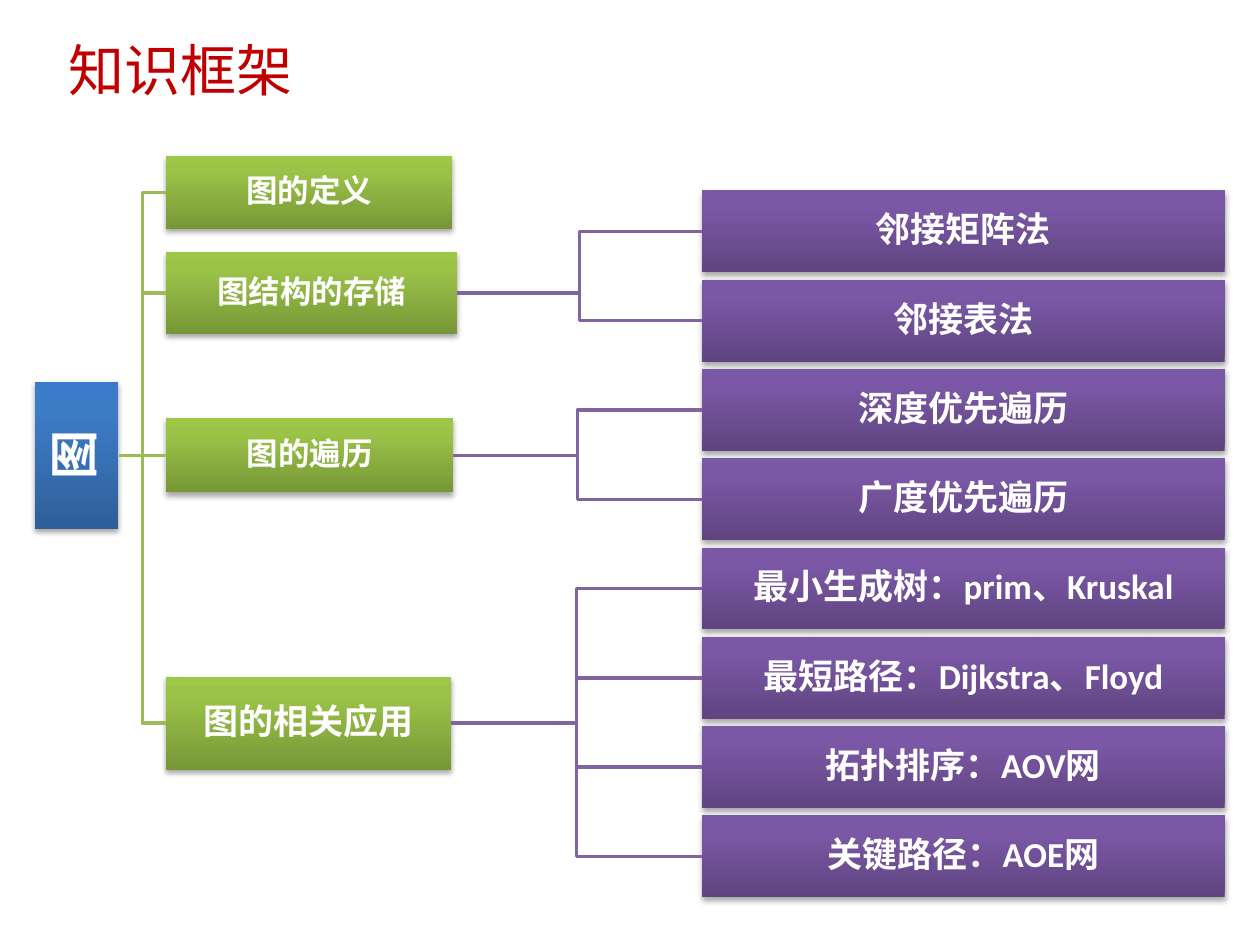
from copy import deepcopy
from dataclasses import dataclass
from itertools import count

from lxml.etree import SubElement
from pptx import Presentation
from pptx.dml.color import RGBColor
from pptx.enum.shapes import MSO_CONNECTOR, MSO_SHAPE
from pptx.enum.text import MSO_ANCHOR, PP_ALIGN
from pptx.oxml.ns import qn
from pptx.shapes.autoshape import Shape
from pptx.slide import Slide
from pptx.text.text import TextFrame
from pptx.util import Cm, Pt

WHITE = RGBColor(0xFF, 0xFF, 0xFF)
TITLE_RED = RGBColor(0xC0, 0x00, 0x00)
GREEN_LINE = RGBColor(0x9B, 0xBB, 0x59)
PURPLE_LINE = RGBColor(0x80, 0x64, 0xA2)
BLUE = (RGBColor(0x2F, 0x5F, 0x99), RGBColor(0x3D, 0x7C, 0xC7), RGBColor(0x3A, 0x7C, 0xCB))
GREEN = (RGBColor(0x77, 0x97, 0x37), RGBColor(0x9B, 0xC3, 0x48), RGBColor(0x9D, 0xC7, 0x46))
PURPLE = (RGBColor(0x5F, 0x44, 0x80), RGBColor(0x7B, 0x58, 0xA6), RGBColor(0x7C, 0x57, 0xA8))
GRADIENT_POSITIONS = (0, 0.8, 1)

LATIN_FONT = "Calibri"
CHINESE_FONT = "Noto Sans CJK SC"

BRANCH_LEFT = 3.35
LEAF_LEFT, LEAF_TOP, LEAF_PITCH = 14.15, 3.84, 1.8
LEAF_WIDTH, LEAF_HEIGHT = 10.54, 1.65


@dataclass(frozen=True)
class Node:
    """A box of the tree; lengths in centimetres."""
    text: str
    left: float
    top: float
    width: float
    height: float
    size: int
    colors: tuple[RGBColor, ...]


@dataclass(frozen=True)
class Branch:
    text: str
    top: float
    width: float
    height: float
    size: int = 18
    leaves: tuple[str, ...] = ()


BRANCHES = (
    Branch("图的定义", 3.15, 5.77, 1.47),
    Branch("图结构的存储", 5.08, 5.87, 1.65, leaves=("邻接矩阵法", "邻接表法")),
    Branch("图的遍历", 8.43, 5.79, 1.5, leaves=("深度优先遍历", "广度优先遍历")),
    Branch("图的相关应用", 13.64, 5.74, 1.88, size=20, leaves=(
        "最小生成树：prim、Kruskal",
        "最短路径：Dijkstra、Floyd",
        "拓扑排序：AOV网",
        "关键路径：AOE网",
    )),
)


def write_text(frame: TextFrame, text: str, *, size: int, color: RGBColor,
               font: str = LATIN_FONT, bold: bool = False, wrap: bool = True,
               line_spacing: float = 1.0, space_after: float = 0,
               margins: tuple[float, float, float, float] = (0.03,) * 4) -> None:
    """Margins are left, top, right, bottom in centimetres."""
    frame.word_wrap = wrap
    frame.vertical_anchor = MSO_ANCHOR.MIDDLE
    (frame.margin_left, frame.margin_top,
     frame.margin_right, frame.margin_bottom) = map(Cm, margins)
    paragraph = frame.paragraphs[0]
    paragraph.alignment = PP_ALIGN.CENTER
    paragraph.line_spacing = line_spacing
    paragraph.space_before = Pt(0)
    paragraph.space_after = Pt(space_after)
    run = paragraph.add_run()
    run.text = text
    run.font.size = Pt(size)
    run.font.bold = bold
    run.font.color.rgb = color
    run.font.name = font
    east_asian = SubElement(run.font._element, qn("a:ea"))
    east_asian.set("typeface", CHINESE_FONT)


def fill_gradient(shape: Shape, colors: tuple[RGBColor, ...]) -> None:
    """Run the colours from the bottom edge to the top edge."""
    shape.fill.gradient()
    shape.fill.gradient_angle = 90
    first_stop = next(shape.element.spPr.iter(qn("a:gs")))
    first_stop.addnext(deepcopy(first_stop))
    for stop, position, color in zip(shape.fill.gradient_stops, GRADIENT_POSITIONS, colors):
        stop.position = position
        stop.color.rgb = color


def add_soft_shadow(shape: Shape) -> None:
    shape.shadow.inherit = False
    effects = shape.element.spPr.find(qn("a:effectLst"))
    shadow = SubElement(effects, qn("a:outerShdw"), blurRad=str(Pt(3.1)), dist=str(Pt(1.8)),
                        dir="5400000", algn="ctr", rotWithShape="0")
    black = SubElement(shadow, qn("a:srgbClr"), val="000000")
    SubElement(black, qn("a:alpha"), val="35000")


def add_node(slide: Slide, node: Node) -> Shape:
    box = slide.shapes.add_shape(MSO_SHAPE.RECTANGLE, Cm(node.left), Cm(node.top),
                                 Cm(node.width), Cm(node.height))
    fill_gradient(box, node.colors)
    box.line.fill.background()
    add_soft_shadow(box)
    write_text(box.text_frame, node.text, size=node.size, color=WHITE, bold=True,
               line_spacing=0.9, space_after=node.size * 0.35)
    return box


def join(slide: Slide, parent: Shape, child: Shape, color: RGBColor) -> None:
    """Link the parent's right side to the child's left side."""
    offset = (child.top + child.height / 2) - (parent.top + parent.height / 2)
    kind = MSO_CONNECTOR.STRAIGHT if abs(offset) < Cm(0.02) else MSO_CONNECTOR.ELBOW
    link = slide.shapes.add_connector(kind, 0, 0, 0, 0)
    link.begin_connect(parent, 3)
    link.end_connect(child, 1)
    link.line.color.rgb = color
    link.line.width = Pt(2)
    SubElement(link._element.spPr, qn("a:effectLst"))


def add_title(slide: Slide, text: str) -> None:
    title = slide.shapes.title
    title.left, title.top, title.width, title.height = Cm(0.89), Cm(0.58), Cm(5.59), Cm(1.63)
    write_text(title.text_frame, text, size=32, color=TITLE_RED, font=CHINESE_FONT,
               wrap=False, margins=(0.3, 0.13, 0.4, 0.13))


def add_tree(slide: Slide) -> None:
    root = add_node(slide, Node("图", 0.71, 7.7, 1.68, 2.96, 28, BLUE))
    root.text_frame._element.bodyPr.set("vert", "vert270")
    leaf_rows = count()
    for branch in BRANCHES:
        branch_box = add_node(slide, Node(branch.text, BRANCH_LEFT, branch.top, branch.width,
                                          branch.height, branch.size, GREEN))
        join(slide, root, branch_box, GREEN_LINE)
        for leaf in branch.leaves:
            leaf_top = LEAF_TOP + next(leaf_rows) * LEAF_PITCH
            leaf_box = add_node(slide, Node(leaf, LEAF_LEFT, leaf_top, LEAF_WIDTH,
                                            LEAF_HEIGHT, 20, PURPLE))
            join(slide, branch_box, leaf_box, PURPLE_LINE)


def main() -> None:
    presentation = Presentation()
    presentation.slide_width, presentation.slide_height = Cm(25.4), Cm(19.05)
    slide = presentation.slides.add_slide(presentation.slide_layouts[5])
    add_title(slide, "知识框架")
    add_tree(slide)
    presentation.save("out.pptx")


if __name__ == "__main__":
    main()
